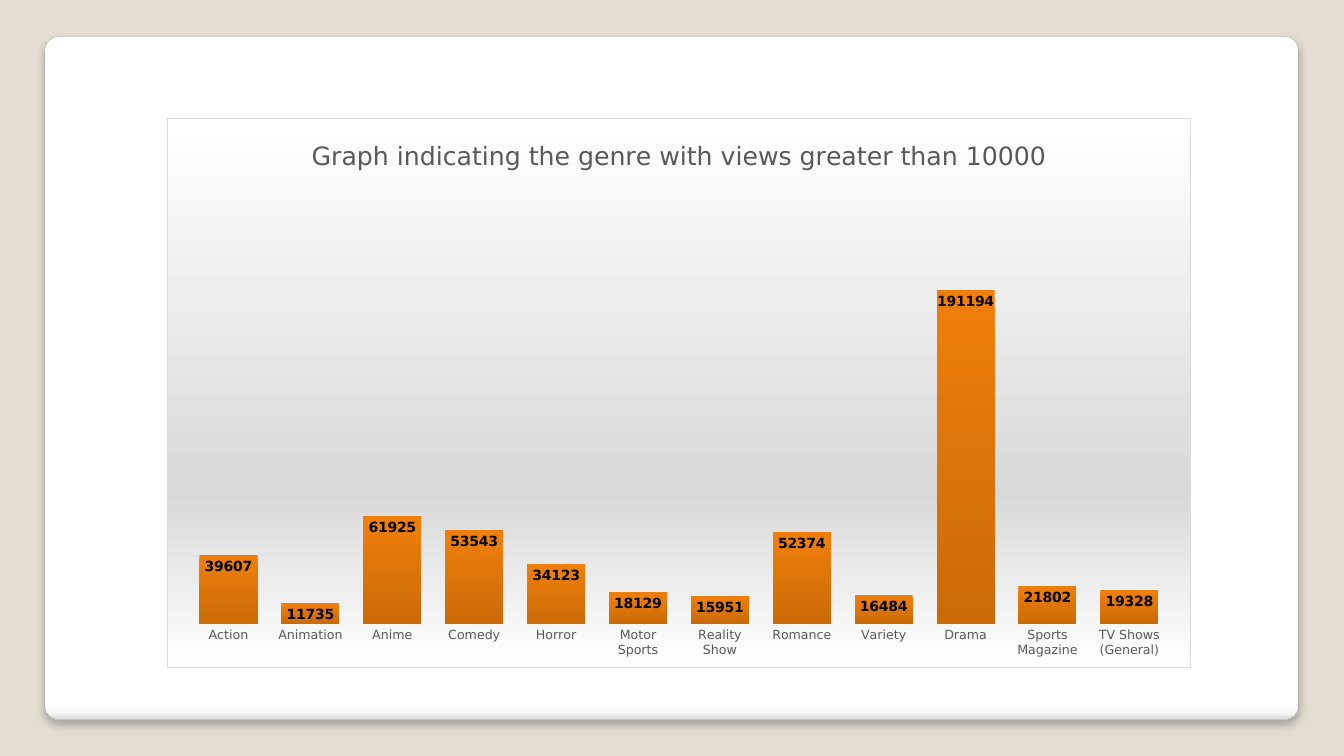
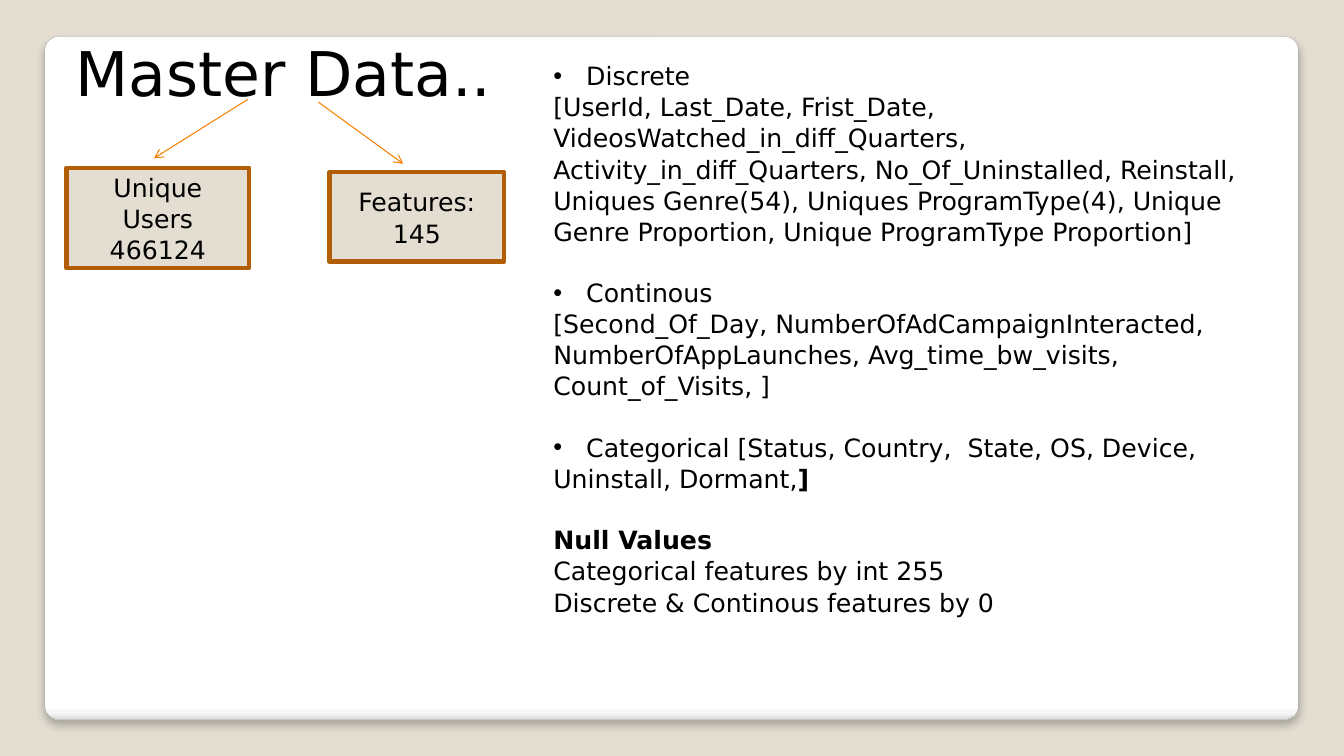
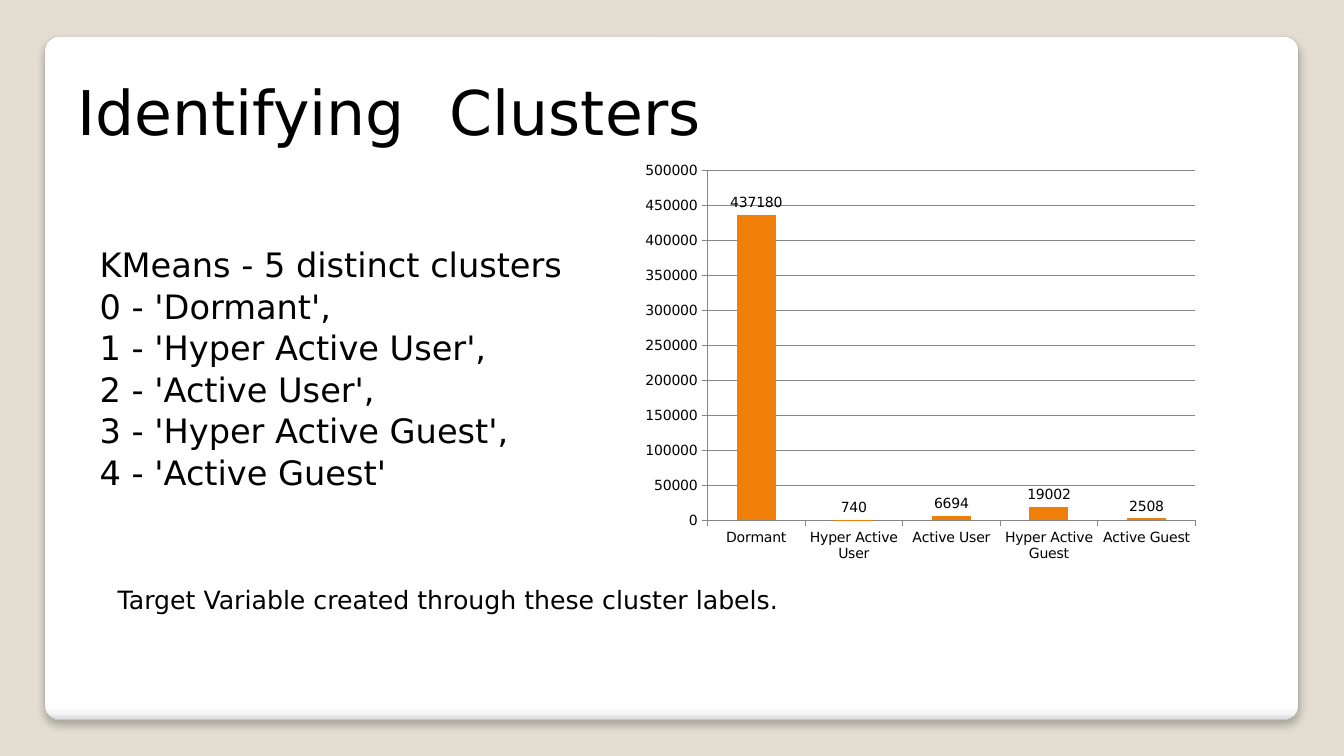
"""Build three slides on viewing data: genre views, master data and user clusters."""
from pptx import Presentation
from pptx.chart.data import CategoryChartData
from pptx.dml.color import RGBColor
from pptx.enum.chart import XL_CHART_TYPE, XL_LABEL_POSITION, XL_TICK_MARK
from pptx.enum.shapes import MSO_CONNECTOR, MSO_SHAPE
from pptx.enum.text import MSO_ANCHOR, MSO_AUTO_SIZE, PP_ALIGN
from pptx.oxml import parse_xml
from pptx.oxml.ns import nsdecls
from pptx.util import Pt

FONT = "DejaVu Sans"
BLACK, GREY, ORANGE, SAND = "000000", "595959", "F07F09", "E3DED1"
FRAME_FORMAT = {"word_wrap": True, "auto_size": MSO_AUTO_SIZE.NONE}
PARAGRAPH_FORMAT = {"line_spacing": 1.03, "space_before": Pt(0), "space_after": Pt(0)}
BLANK_LINE = Pt(21.6)


def paint(fill, colour):
    fill.solid()
    fill.fore_color.rgb = RGBColor.from_string(colour)


def add_gradient(properties, stops):
    stop_list = "".join(
        f'<a:gs pos="{position * 1000}"><a:srgbClr val="{colour}"/></a:gs>'
        for position, colour in stops
    )
    properties.append(parse_xml(
        f'<a:gradFill {nsdecls("a")} rotWithShape="1"><a:gsLst>{stop_list}</a:gsLst>'
        '<a:lin ang="5400000" scaled="0"/></a:gradFill>'
    ))


presentation = Presentation()
presentation.slide_width = Pt(960)
presentation.slide_height = Pt(540)
master = presentation.slide_master
paint(master.background.fill, SAND)
content_layout, blank_layout = presentation.slide_layouts[1], presentation.slide_layouts[6]
genre_slide = presentation.slides.add_slide(blank_layout)
data_slide = presentation.slides.add_slide(content_layout)
cluster_slide = presentation.slides.add_slide(content_layout)

panel = genre_slide.shapes.add_shape(
    MSO_SHAPE.ROUNDED_RECTANGLE, Pt(32), Pt(26), Pt(895.5), Pt(488)
)
panel.adjustments[0] = 0.021
add_gradient(
    panel.element.spPr, [(0, "FFFFFF"), (98, "FFFFFF"), (99, "F7F7F7"), (100, "DADADA")]
)
paint(panel.line.fill, "A4A4A4")
panel.line.width = Pt(0.16)
panel.shadow.inherit = False
panel.element.xpath("p:spPr/a:effectLst")[0].append(parse_xml(
    f'<a:outerShdw {nsdecls("a")} blurRad="76200" dist="50800" dir="5400000">'
    '<a:srgbClr val="000000"><a:alpha val="25000"/></a:srgbClr></a:outerShdw>'
))
panel.element.xpath("p:nvSpPr/p:cNvPr")[0].set("id", "20")
master.shapes.element.insert(2, panel.element)

genre_views = {
    "Action": 39607, "Animation": 11735, "Anime": 61925, "Comedy": 53543,
    "Horror": 34123, "Motor Sports": 18129, "Reality Show": 15951, "Romance": 52374,
    "Variety": 16484, "Drama": 191194, "Sports Magazine": 21802, "TV Shows (General)": 19328,
}
cluster_sizes = {
    "Dormant": 437180, "Hyper Active User": 740, "Active User": 6694,
    "Hyper Active Guest": 19002, "Active Guest": 2508,
}
chart_plans = [
    (genre_slide, genre_views, (119, 84.5, 732, 393), (0.02, 0.124, 0.96, 0.796),
     41, 250000, XL_LABEL_POSITION.INSIDE_END),
    (cluster_slide, cluster_sizes, (453, 111.5, 409, 296), (0.128, 0.036, 0.852, 0.843),
     150, 500000, XL_LABEL_POSITION.OUTSIDE_END),
]
charts = []
for slide, values, box, plot_box, gap, maximum, label_position in chart_plans:
    chart_data = CategoryChartData()
    chart_data.categories = list(values)
    chart_data.add_series("Series 1", list(values.values()))
    chart = slide.shapes.add_chart(
        XL_CHART_TYPE.COLUMN_CLUSTERED, *[Pt(length) for length in box], chart_data
    ).chart
    chart.has_legend = False
    chart.has_title = False
    chart.font.name, chart.font.size = FONT, Pt(10)
    paint(chart.font.fill, BLACK)
    plot = chart.plots[0]
    plot.gap_width = gap
    plot.vary_by_categories = False
    plot.has_data_labels = True
    labels = plot.data_labels
    labels.show_value = True
    labels.position = label_position
    labels.font.name, labels.font.size = FONT, Pt(10)
    paint(labels.font.fill, BLACK)
    chart.value_axis.minimum_scale, chart.value_axis.maximum_scale = 0, maximum
    chart.value_axis.major_unit = 50000
    plot_area = chart.element.xpath("c:chart/c:plotArea")[0]
    for layout in plot_area.xpath("c:layout"):
        plot_area.remove(layout)
    sides = "".join(f'<c:{side} val="{share}"/>' for side, share in zip("xywh", plot_box))
    plot_area.insert(0, parse_xml(
        f'<c:layout {nsdecls("c")}><c:manualLayout><c:layoutTarget val="inner"/>'
        f'<c:xMode val="edge"/><c:yMode val="edge"/>{sides}</c:manualLayout></c:layout>'
    ))
    charts.append(chart)
genre_chart, cluster_chart = charts

genre_chart.has_title = True
genre_title = genre_chart.chart_title.text_frame
genre_title.text = "Graph indicating the genre with views greater than 10000"
title_font = genre_title.paragraphs[0].runs[0].font
title_font.name, title_font.size, title_font.bold = FONT, Pt(18), False
paint(title_font.fill, GREY)
genre_chart.plots[0].data_labels.font.bold = True
genre_chart.value_axis.visible = False
genre_chart.value_axis.has_major_gridlines = False
genre_axis = genre_chart.category_axis
genre_axis.major_tick_mark = XL_TICK_MARK.NONE
genre_axis.format.line.fill.background()
genre_axis.tick_labels.font.name, genre_axis.tick_labels.font.size = FONT, Pt(9)
paint(genre_axis.tick_labels.font.fill, GREY)
genre_chart.plots[0].series[0].format.line.fill.background()
bar_properties = genre_chart.element.xpath(".//c:ser/c:spPr")[0]
add_gradient(bar_properties, [(0, ORANGE), (100, "CA6B08")])
bar_properties.insert(0, bar_properties[-1])
chart_properties = parse_xml(f'<c:spPr {nsdecls("c", "a")}/>')
add_gradient(chart_properties, [(0, "FFFFFF"), (68, "D9D9D9"), (100, "FFFFFF")])
chart_properties.append(parse_xml(
    f'<a:ln {nsdecls("a")} w="9525"><a:solidFill><a:srgbClr val="D9D9D9"/></a:solidFill></a:ln>'
))
genre_chart.element.xpath("c:chart")[0].addnext(chart_properties)

paint(cluster_chart.plots[0].series[0].format.fill, ORANGE)
cluster_chart.value_axis.has_major_gridlines = True
for axis_part in (cluster_chart.category_axis, cluster_chart.value_axis,
                  cluster_chart.value_axis.major_gridlines):
    paint(axis_part.format.line.fill, "868686")
    axis_part.format.line.width = Pt(0.75)
for axis in (cluster_chart.category_axis, cluster_chart.value_axis):
    axis.major_tick_mark = XL_TICK_MARK.OUTSIDE

data_title, data_body = data_slide.placeholders
cluster_title, cluster_body = cluster_slide.placeholders
cluster_note = cluster_slide.shapes.add_textbox(0, 0, 0, 0)
users_box = data_slide.shapes.add_shape(MSO_SHAPE.RECTANGLE, 0, 0, 0, 0)
features_box = data_slide.shapes.add_shape(MSO_SHAPE.RECTANGLE, 0, 0, 0, 0)
for box in (users_box, features_box):
    box.shadow.inherit = False
    paint(box.fill, SAND)
    paint(box.line.fill, "B25E07")
    box.line.width = Pt(3.35)

data_lines = [
    "\tDiscrete",
    "[UserId, Last_Date, Frist_Date, VideosWatched_in_diff_Quarters, "
    "Activity_in_diff_Quarters, No_Of_Uninstalled, Reinstall, Uniques Genre(54), "
    "Uniques ProgramType(4), Unique Genre Proportion, Unique ProgramType Proportion]",
    "\tContinous",
    "[Second_Of_Day, NumberOfAdCampaignInteracted, NumberOfAppLaunches, "
    "Avg_time_bw_visits, Count_of_Visits, ]",
    "\tCategorical [Status, Country,  State, OS, Device, Uninstall, Dormant,",
    "Null Values",
    "Categorical features by int 255",
    "Discrete & Continous features by 0",
]
cluster_lines = [
    "KMeans - 5 distinct clusters", "0 - 'Dormant',", "1 - 'Hyper Active User',",
    "2 - 'Active User',", "3 - 'Hyper Active Guest',", "4 - 'Active Guest'",
]
text_plans = [
    (data_title, (46.8, 19.5, 342, 60.5), 44, ["Master Data.."]),
    (data_body, (388, 39, 519, 465), 18, data_lines),
    (users_box, (47.5, 120, 130.5, 71.5), 18, ["Unique Users", "466124"]),
    (features_box, (235.5, 123, 124.5, 64), 18, ["Features:", "145"]),
    (cluster_title, (48.2, 47.5, 514, 60.5), 44, ["Identifying\t Clusters"]),
    (cluster_body, (64, 170, 395, 204), 24, cluster_lines),
    (cluster_note, (77, 413.5, 612, 29), 18,
     ["Target Variable created through these cluster labels."]),
]
for shape, box, size, lines in text_plans:
    for name, length in zip(("left", "top", "width", "height"), box):
        setattr(shape, name, Pt(length))
    frame = shape.text_frame
    frame.text = "\n".join(lines)
    boxed = shape in (users_box, features_box)
    frame.vertical_anchor = MSO_ANCHOR.MIDDLE if boxed else MSO_ANCHOR.TOP
    for name, value in FRAME_FORMAT.items():
        setattr(frame, name, value)
    if shape is data_body:
        frame.paragraphs[4].add_run().text = "]"
    for paragraph in frame.paragraphs:
        paragraph.alignment = PP_ALIGN.CENTER if boxed else PP_ALIGN.LEFT
        for name, value in PARAGRAPH_FORMAT.items():
            setattr(paragraph, name, value)
        properties = paragraph._p.get_or_add_pPr()
        properties.set("marL", "0")
        properties.set("indent", "0")
        if paragraph.text.startswith("\t"):
            for markup in ('<a:buFont {} typeface="Arial"/>', '<a:buChar {} char="•"/>',
                           '<a:tabLst {}><a:tab pos="298450" algn="l"/></a:tabLst>'):
                properties.append(parse_xml(markup.format(nsdecls("a"))))
        else:
            properties.append(parse_xml(f'<a:buNone {nsdecls("a")}/>'))
        for run in paragraph.runs:
            run.font.name, run.font.size = FONT, Pt(size)
            paint(run.font.fill, BLACK)

data_paragraphs = data_body.text_frame.paragraphs
for index in (2, 4, 5):
    data_paragraphs[index].space_before = BLANK_LINE
for run in (data_paragraphs[4].runs[1], data_paragraphs[5].runs[0]):
    run.font.bold = True

for ends in ((177, 71, 110, 113), (227.5, 73, 288, 117)):
    arrow = data_slide.shapes.add_connector(
        MSO_CONNECTOR.STRAIGHT, *[Pt(length) for length in ends]
    )
    paint(arrow.line.fill, "F97F00")
    arrow.line.width = Pt(0.75)
    arrow.line._get_or_add_ln().append(parse_xml(f'<a:tailEnd {nsdecls("a")} type="arrow"/>'))
    arrow.element.spPr.append(parse_xml(f'<a:effectLst {nsdecls("a")}/>'))

presentation.save("out.pptx")
